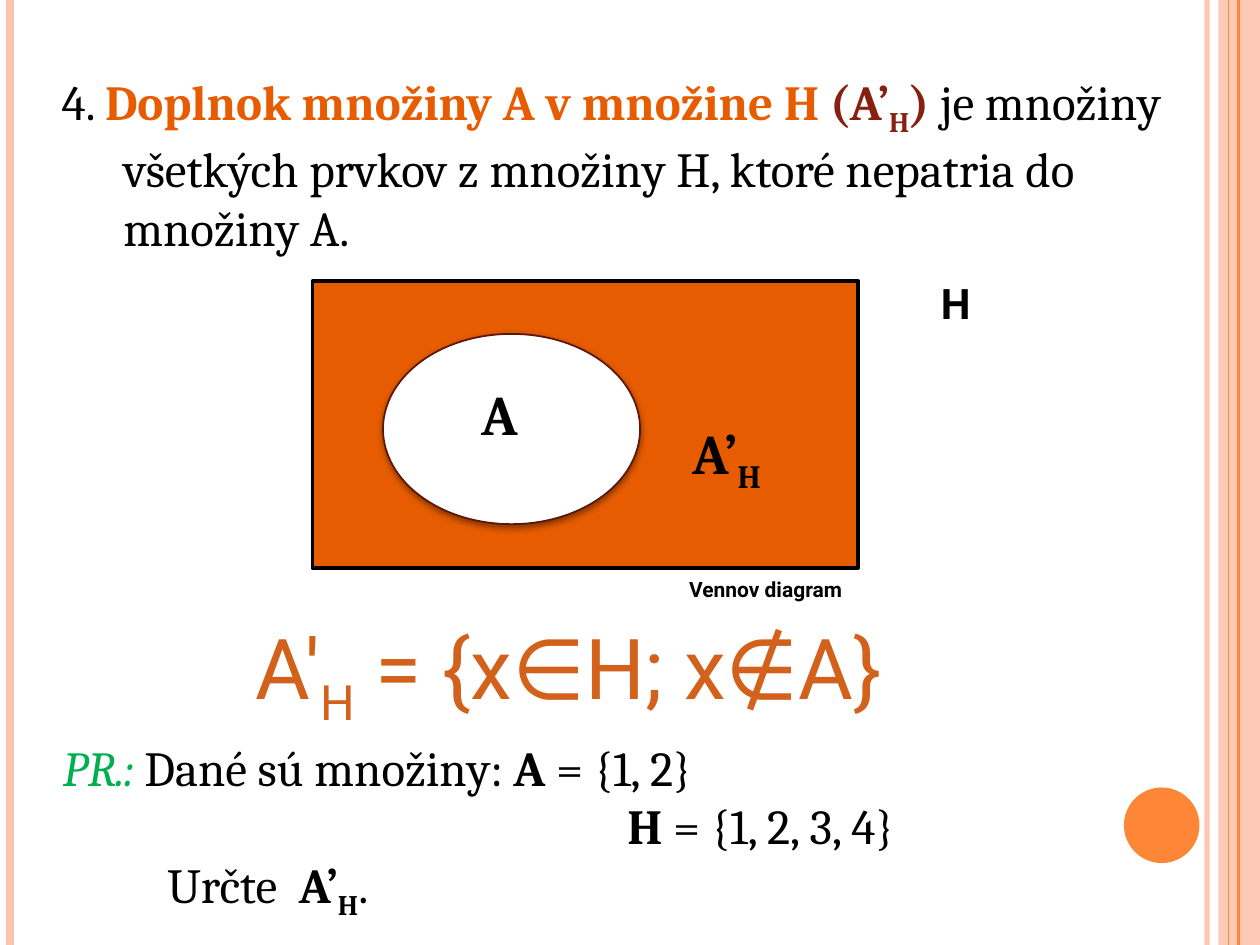
from dataclasses import dataclass

from lxml import etree
from pptx import Presentation
from pptx import util as u
from pptx.dml.color import RGBColor
from pptx.enum import shapes, text
from pptx.oxml.ns import qn

COLORS = {
    "white": "FFFFFF", "black": "000000", "peach": "FEC3AE", "amber": "FE8637",
    "orange": "E75C01", "maroon": "862110", "outline": "5A160B",
    "green": "00B050", "rust": "D2611C",
}


@dataclass(frozen=True)
class Stripe:
    x: float
    color: str
    width: float
    opacity: int = 100


@dataclass(frozen=True)
class Run:
    words: str
    color: str = "black"
    bold: bool = False
    italic: bool = False
    subscript: bool = False


@dataclass(frozen=True)
class Line:
    runs: tuple[Run, ...]
    margin: float = 0
    indent: float = 0


STRIPES = (
    Stripe(9.58, "peach", 3, 93),
    Stripe(0.08, "peach", 4.5),
    Stripe(9.83, "amber", 1.5),
    Stripe(9.75, "amber", 0.75),
)
COMPLEMENT = (Run("A’", bold=True), Run("H", bold=True, subscript=True))
HANGING = 0.49

DEFINITION = (Line((
    Run("4. "),
    Run("Doplnok množiny A v množine H ", "orange", bold=True),
    Run("(A’", "maroon", bold=True),
    Run("H", "maroon", bold=True, subscript=True),
    Run(") ", "maroon", bold=True),
    Run("je množiny všetkých prvkov z množiny H, ktoré nepatria do množiny A."),
), HANGING, -HANGING),)

EXAMPLE = (
    Line((Run("PR.: ", "green", italic=True), Run("Dané sú množiny: "),
          Run("A", bold=True), Run(" = {1, 2}")), HANGING, -HANGING),
    Line((Run("H ", bold=True), Run("= {1, 2, 3, 4}")), 4.48),
    Line((Run("Určte  "), *COMPLEMENT, Run(".")), 0.83),
)

FORMULA = (Line((Run("A'", "rust"), Run("H", "rust", subscript=True),
                 Run(" = {x∈H; x∉A}", "rust"))),)


def rgb(name: str) -> RGBColor:
    """Return a named colour."""
    return RGBColor.from_string(COLORS[name])


def set_opacity(element, percent: int) -> None:
    """Make the first colour of an element partly transparent."""
    color = next(element.iter(qn("a:srgbClr")))
    etree.SubElement(color, qn("a:alpha")).set("val", str(percent * 1000))


def add_stripe(slide, stripe: Stripe) -> None:
    """Draw a vertical stripe over the full height of the slide."""
    x = u.Inches(stripe.x)
    connector = slide.shapes.add_connector(
        shapes.MSO_CONNECTOR.STRAIGHT, x, 0, x, u.Inches(7.5))
    connector.line.color.rgb = rgb(stripe.color)
    connector.line.width = u.Pt(stripe.width)
    properties = connector._element.spPr
    if stripe.opacity < 100:
        set_opacity(properties, stripe.opacity)
    etree.SubElement(properties, qn("a:effectLst"))


def add_figure(slide, kind, box: tuple, fill: str, outline: str | None = None,
               width: float = 1):
    """Draw a filled preset shape with an optional outline."""
    shape = slide.shapes.add_shape(kind, *map(u.Inches, box))
    shape.shadow.inherit = False
    shape.fill.solid()
    shape.fill.fore_color.rgb = rgb(fill)
    if outline:
        shape.line.color.rgb = rgb(outline)
        shape.line.width = u.Pt(width)
    else:
        shape.line.fill.background()
    return shape


def add_drop_shadow(shape) -> None:
    """Give a shape a soft shadow straight below it."""
    effects = shape._element.spPr.find(qn("a:effectLst"))
    shadow = etree.SubElement(effects, qn("a:outerShdw"), blurRad=str(u.Pt(4)),
                              dist=str(u.Pt(1.6)), dir="5400000", rotWithShape="0")
    etree.SubElement(shadow, qn("a:srgbClr")).set("val", COLORS["black"])
    set_opacity(shadow, 42)


def write(shape, lines: tuple[Line, ...], *, size: float, font: str) -> None:
    """Write formatted lines into a shape."""
    frame = shape.text_frame
    frame.word_wrap = True
    frame.vertical_anchor = text.MSO_ANCHOR.TOP
    for index, line in enumerate(lines):
        paragraph = frame.add_paragraph() if index else frame.paragraphs[0]
        paragraph.alignment = text.PP_ALIGN.LEFT
        properties = paragraph._p.get_or_add_pPr()
        properties.set("marL", str(u.Inches(line.margin)))
        properties.set("indent", str(u.Inches(line.indent)))
        for part in line.runs:
            run = paragraph.add_run()
            run.text = part.words
            run.font.name = font
            run.font.size = u.Pt(size)
            run.font.bold = part.bold
            run.font.italic = part.italic
            run.font.color.rgb = rgb(part.color)
            if part.subscript:
                run.font._element.set("baseline", "-25000")


def add_text(slide, box: tuple, lines: tuple[Line, ...], *, size: float,
             font: str = "Cambria") -> None:
    """Add a text box with formatted lines."""
    write(slide.shapes.add_textbox(*map(u.Inches, box)), lines, size=size, font=font)


def label(words: str) -> tuple[Line, ...]:
    """Return one bold line."""
    return (Line((Run(words, bold=True),)),)


def main() -> None:
    """Build the slide about the complement of a set."""
    presentation = Presentation()
    presentation.slide_width = u.Inches(10)
    presentation.slide_height = u.Inches(7.5)
    slide = presentation.slides.add_slide(presentation.slide_layouts[6])
    rectangle, oval = shapes.MSO_SHAPE.RECTANGLE, shapes.MSO_SHAPE.OVAL

    band = add_figure(slide, rectangle, (9.67, 0, 0.33, 7.5), "peach")
    set_opacity(band._element.spPr, 87)
    for stripe in STRIPES:
        add_stripe(slide, stripe)
    add_figure(slide, oval, (8.92, 6.25, 0.6, 0.6), "amber")

    add_figure(slide, rectangle, (2.48, 2.23, 4.33, 2.28), "orange", "black", 2)
    add_text(slide, (0.39, 0.52, 9.22, 1.51), DEFINITION, size=28)
    add_text(slide, (0.4, 5.8, 9.22, 1.51), EXAMPLE, size=28)

    subset = add_figure(slide, oval, (3.04, 2.65, 2.04, 1.51), "white", "outline")
    add_drop_shadow(subset)
    subset_label = add_figure(slide, rectangle, (3.72, 2.96, 0.42, 0.82), "white")
    write(subset_label, label("A"), size=32, font="Cambria")
    add_text(slide, (5.4, 3.27, 0.93, 0.64), (Line(COMPLEMENT),), size=32)

    add_text(slide, (1.93, 4.84, 5.82, 0.94), FORMULA, size=48, font="Roboto")
    add_text(slide, (7.37, 2.15, 0.47, 0.5), label("H"), size=24, font="Roboto")
    add_text(slide, (5.37, 4.53, 1.65, 0.3), label("Vennov diagram"), size=12,
             font="Roboto")
    presentation.save("out.pptx")


if __name__ == "__main__":
    main()
